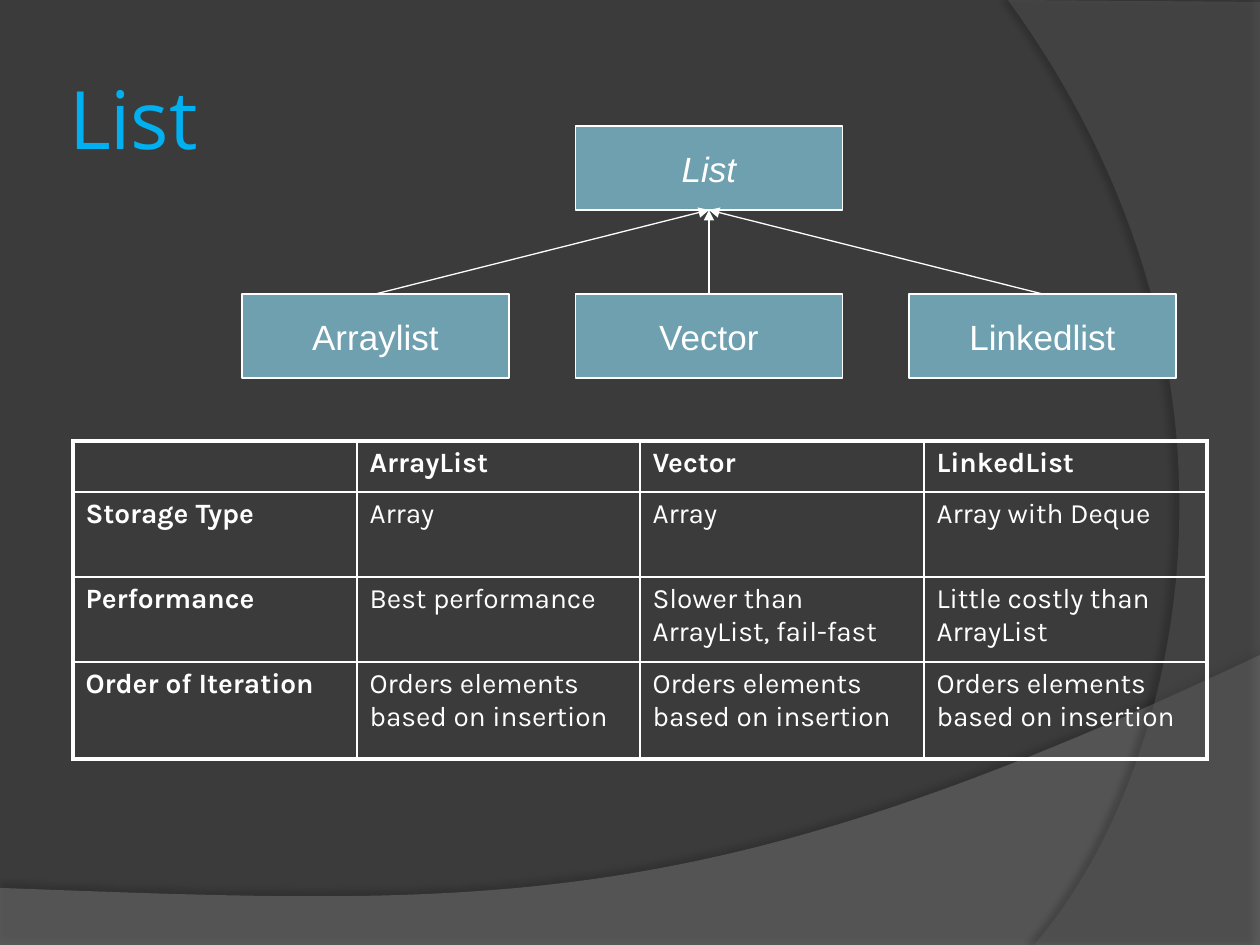
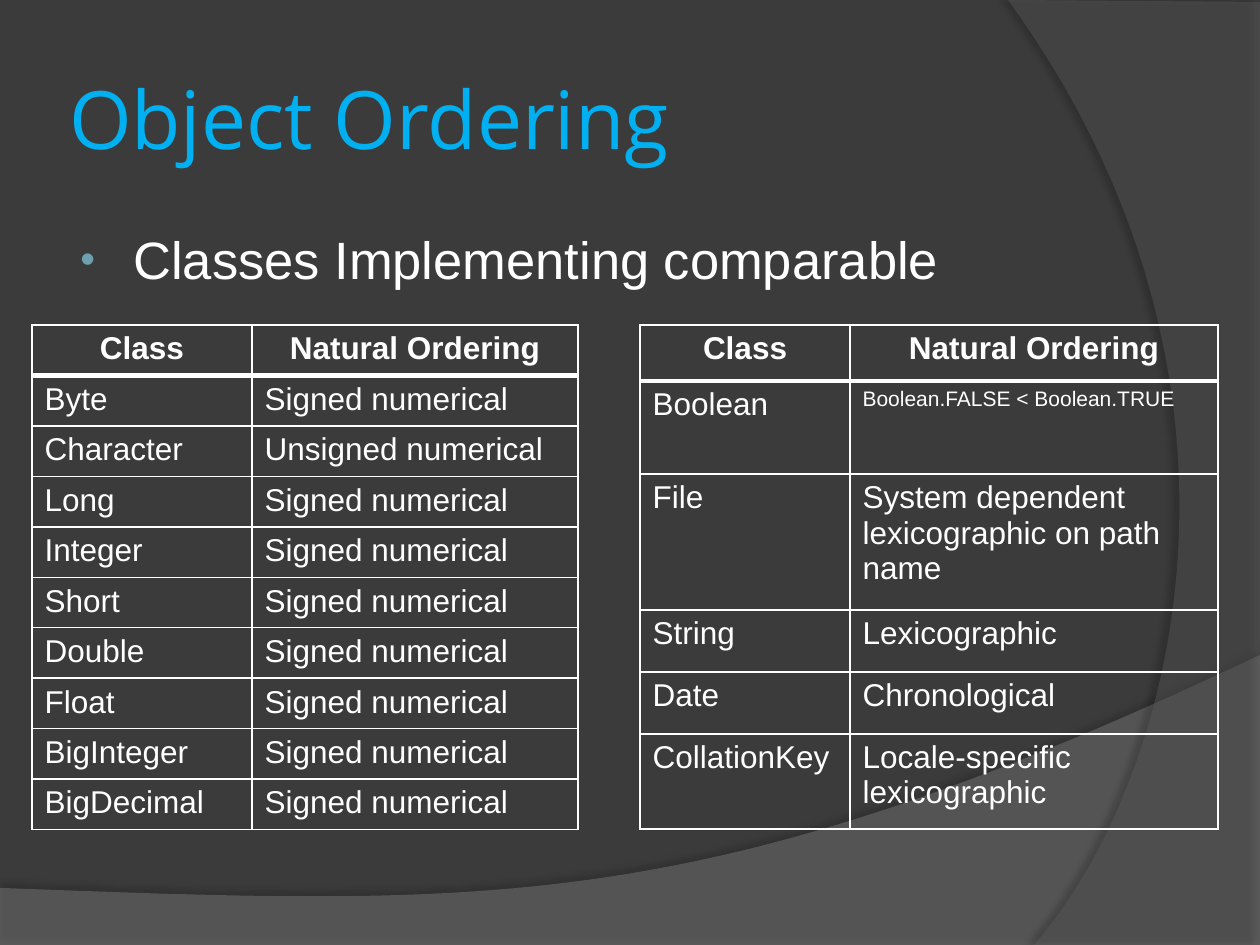
from pptx import Presentation
from pptx.dml.color import RGBColor
from pptx.enum.shapes import MSO_CONNECTOR, MSO_SHAPE
from pptx.enum.text import MSO_ANCHOR, MSO_AUTO_SIZE, PP_ALIGN
from pptx.oxml import parse_xml
from pptx.oxml.ns import nsdecls
from pptx.util import Pt

EMU_PER_PX = 914400 / 126
COLORS = {
    "background": "3B3B3B",
    "lower_wave": "7F7F7F",
    "right_wave": "5E5E5E",
    "shadow": "000000",
    "title": "00B0F0",
    "accent": "6EA0B0",
    "white": "FFFFFF",
}
TITLE_BOX = (63, 38, 1029, 158)


def px(length):
    return round(length * EMU_PER_PX)


def rgb(name):
    return RGBColor.from_string(COLORS[name])


def drawing(tag, attributes="", inner=""):
    """An element of the drawing namespace."""
    return parse_xml(f"<a:{tag} {nsdecls('a')} {attributes}>{inner}</a:{tag}>")


def style_text(paragraph, font, size, color="white", bold=False, italic=False):
    for run in paragraph.runs:
        run.font.name = font
        run.font.size = Pt(size)
        run.font.bold = bold
        run.font.italic = italic
        run.font.color.rgb = rgb(color)


# Shared background: two translucent waves on the master
def bezier(p0, p1, p2, p3, steps=60):
    points = []
    for step in range(1, steps + 1):
        t = step / steps
        weights = ((1 - t) ** 3, 3 * t * (1 - t) ** 2, 3 * t * t * (1 - t), t ** 3)
        points.append(tuple(sum(w * p[axis] for w, p in zip(weights, (p0, p1, p2, p3)))
                            for axis in (0, 1)))
    return points


def add_wave(slide, master, order, outline, color, opacity, shadow):
    points = [(px(x), px(y)) for x, y in outline]
    builder = slide.shapes.build_freeform(*points[0], scale=1.0)
    builder.add_line_segments(points[1:], close=True)
    wave = builder.convert_to_shape()
    wave.fill.solid()
    wave.fill.fore_color.rgb = rgb(color)
    wave.line.fill.background()
    fill_color = wave.element.xpath("p:spPr/a:solidFill/a:srgbClr")[0]
    fill_color.append(drawing("alpha", f'val="{opacity * 1000}"'))

    shadow_opacity, blur, distance, angle = shadow
    wave.element.spPr.append(drawing("effectLst", inner=(
        f'<a:outerShdw blurRad="{Pt(blur)}" dist="{Pt(distance)}" dir="{angle * 60000}" '
        f'algn="ctr" rotWithShape="0"><a:srgbClr val="{COLORS["shadow"]}">'
        f'<a:alpha val="{shadow_opacity * 1000}"/></a:srgbClr></a:outerShdw>')))

    # Behind the master's placeholders, with an id of its own there
    wave.element.xpath("p:nvSpPr/p:cNvPr")[0].set("id", str(100 + order))
    master.shapes.element.insert(2 + order, wave.element)


def build_background(slide, master):
    master.background.fill.solid()
    master.background.fill.fore_color.rgb = rgb("background")
    lower = [(0, 888), (0, 946), (1260, 946), (1260, 655)]
    lower += bezier(lower[-1], (704, 919), (493, 906), lower[0])
    right = [(1260, 2), (1260, 945), (1034, 945)]
    right += bezier(right[-1], (1178, 780), (1283, 378), (1008, 0))
    add_wave(slide, master, 0, lower, "lower_wave", 45, (35, 4, 3.5, 270))
    add_wave(slide, master, 1, right, "right_wave", 40, (45, 4, 4, 180))


def add_title(slide, text):
    title = slide.shapes.title
    title.left, title.top, title.width, title.height = map(px, TITLE_BOX)
    frame = title.text_frame
    frame.text = text
    frame.auto_size = MSO_AUTO_SIZE.NONE
    frame.vertical_anchor = MSO_ANCHOR.MIDDLE
    frame.margin_left = frame.margin_right = px(6)
    frame.margin_top = frame.margin_bottom = px(6)
    frame.paragraphs[0].alignment = PP_ALIGN.LEFT
    style_text(frame.paragraphs[0], "Open Sans", 46, "title")


# Class hierarchy: one parent above a row of children
def add_class_box(group, box, text, italic=False):
    class_box = group.shapes.add_shape(MSO_SHAPE.RECTANGLE, *map(px, box))
    class_box.shadow.inherit = False
    class_box.fill.solid()
    class_box.fill.fore_color.rgb = rgb("accent")
    class_box.line.color.rgb = rgb("white")
    class_box.line.width = Pt(0.75)
    frame = class_box.text_frame
    frame.text = text
    frame.word_wrap = False
    frame.vertical_anchor = MSO_ANCHOR.MIDDLE
    frame.paragraphs[0].alignment = PP_ALIGN.CENTER
    style_text(frame.paragraphs[0], "Arial", 20, italic=italic)
    return class_box


def add_hierarchy(slide, box, parent_name, child_names, box_width=267):
    left, top, width, height = box
    row_height = height / 3
    step = (width - box_width) / (len(child_names) - 1)
    group = slide.shapes.add_group_shape()
    parent = add_class_box(
        group, (left + (width - box_width) / 2, top, box_width, row_height),
        parent_name, italic=True)
    children = [
        add_class_box(group, (left + i * step, top + 2 * row_height, box_width, row_height), name)
        for i, name in enumerate(child_names)]
    for child in children:
        arrow = group.shapes.add_connector(MSO_CONNECTOR.STRAIGHT, 0, 0, 0, 0)
        arrow.begin_connect(child, 0)
        arrow.end_connect(parent, 2)
        arrow.line.color.rgb = rgb("white")
        arrow.line.width = Pt(0.75)
        arrow.line._get_or_add_ln().append(drawing("tailEnd", 'type="triangle"'))
        arrow.element.spPr.append(drawing("effectLst"))


# Tables: transparent cells with white rules
def set_borders(cell, widths):
    properties = cell._tc.get_or_add_tcPr()
    for index, side in enumerate("LRTB"):
        properties.insert(index, drawing(
            f"ln{side}", f'w="{Pt(widths[side])}"',
            f'<a:solidFill><a:srgbClr val="{COLORS["white"]}"/></a:solidFill>'))


def add_ruled_table(slide, corner, rows, column_widths, row_heights, format_cell):
    size = (sum(column_widths), sum(row_heights))
    table = slide.shapes.add_table(
        len(rows), len(column_widths), *map(px, corner + size)).table
    table.first_row = table.horz_banding = False
    for column, width in zip(table.columns, column_widths):
        column.width = px(width)
    for row, height in zip(table.rows, row_heights):
        row.height = px(height)
    for r, row in enumerate(rows):
        for c, text in enumerate(row):
            cell = table.cell(r, c)
            cell.text = text
            cell.fill.background()
            format_cell(cell, r, c)


def add_comparison_table(slide, corner, rows, column_widths, row_heights):
    last_row, last_column = len(rows) - 1, len(column_widths) - 1

    def format_cell(cell, r, c):
        style_text(cell.text_frame.paragraphs[0], "Karla", 16, bold=r == 0 or c == 0)
        outer = {"L": c == 0, "R": c == last_column, "T": r == 0, "B": r == last_row}
        set_borders(cell, {side: 2.25 if edge else 1 for side, edge in outer.items()})

    add_ruled_table(slide, corner, rows, column_widths, row_heights, format_cell)


def add_ordering_table(slide, corner, rows, column_widths, row_heights, small_cells=()):
    def format_cell(cell, r, c):
        paragraph = cell.text_frame.paragraphs[0]
        if r == 0:
            paragraph.alignment = PP_ALIGN.CENTER
        style_text(paragraph, "Arial", 12 if (r, c) in small_cells else 18, bold=r == 0)
        set_borders(cell, {"L": 1, "R": 1, "T": 3 if r == 1 else 1, "B": 3 if r == 0 else 1})

    header = ("Class", "Natural Ordering")
    add_ruled_table(slide, corner, [header] + rows, column_widths, row_heights, format_cell)


def add_bullet(slide, box, text):
    frame = slide.shapes.add_textbox(*map(px, box)).text_frame
    frame.word_wrap = True
    frame.text = text
    paragraph = frame.paragraphs[0]
    style_text(paragraph, "Arial", 30)
    properties = paragraph._p.get_or_add_pPr()
    properties.set("marL", str(px(58)))
    properties.set("indent", str(px(-53)))
    properties.append(drawing("buClr", inner=f'<a:srgbClr val="{COLORS["accent"]}"/>'))
    properties.append(drawing("buSzPct", 'val="80000"'))
    properties.append(drawing("buFont", 'typeface="Arial"'))
    properties.append(drawing("buChar", 'char="\u2022"'))


def build_list_slide(slide):
    add_title(slide, "List")
    add_hierarchy(slide, (242, 126, 934, 252), "List", ("Arraylist", "Vector", "Linkedlist"))
    iteration = "Orders elements based on insertion"
    add_comparison_table(slide, (73, 441), [
        ("", "ArrayList", "Vector", "LinkedList"),
        ("Storage Type", "Array", "Array", "Array with Deque"),
        ("Performance", "Best performance", "Slower than ArrayList, fail-fast",
         "Little costly than ArrayList"),
        ("Order of Iteration", iteration, iteration, iteration),
    ], [284, 283] * 2, [48, 85, 85, 97])


def build_ordering_slide(slide):
    add_title(slide, "Object Ordering")
    add_bullet(slide, (63, 221, 1029, 94), "Classes Implementing comparable")
    numeric_classes = ("Byte", "Character", "Long", "Integer", "Short",
                       "Double", "Float", "BigInteger", "BigDecimal")
    numeric_rows = [
        (name, "Unsigned numerical" if name == "Character" else "Signed numerical")
        for name in numeric_classes]
    add_ordering_table(slide, (32, 325), numeric_rows, [220, 326], [48] * 10)
    add_ordering_table(slide, (640, 325), [
        ("Boolean", "Boolean.FALSE < Boolean.TRUE"),
        ("File", "System dependent lexicographic on path name"),
        ("String", "Lexicographic"),
        ("Date", "Chronological"),
        ("CollationKey", "Locale-specific lexicographic"),
    ], [210, 368], [56, 93, 136, 62, 62, 95], small_cells={(1, 1)})


presentation = Presentation()
presentation.slide_width, presentation.slide_height = px(1260), px(945)
title_only = presentation.slide_layouts[5]
list_slide = presentation.slides.add_slide(title_only)
ordering_slide = presentation.slides.add_slide(title_only)
build_background(list_slide, presentation.slide_master)
build_list_slide(list_slide)
build_ordering_slide(ordering_slide)
presentation.save("out.pptx")
